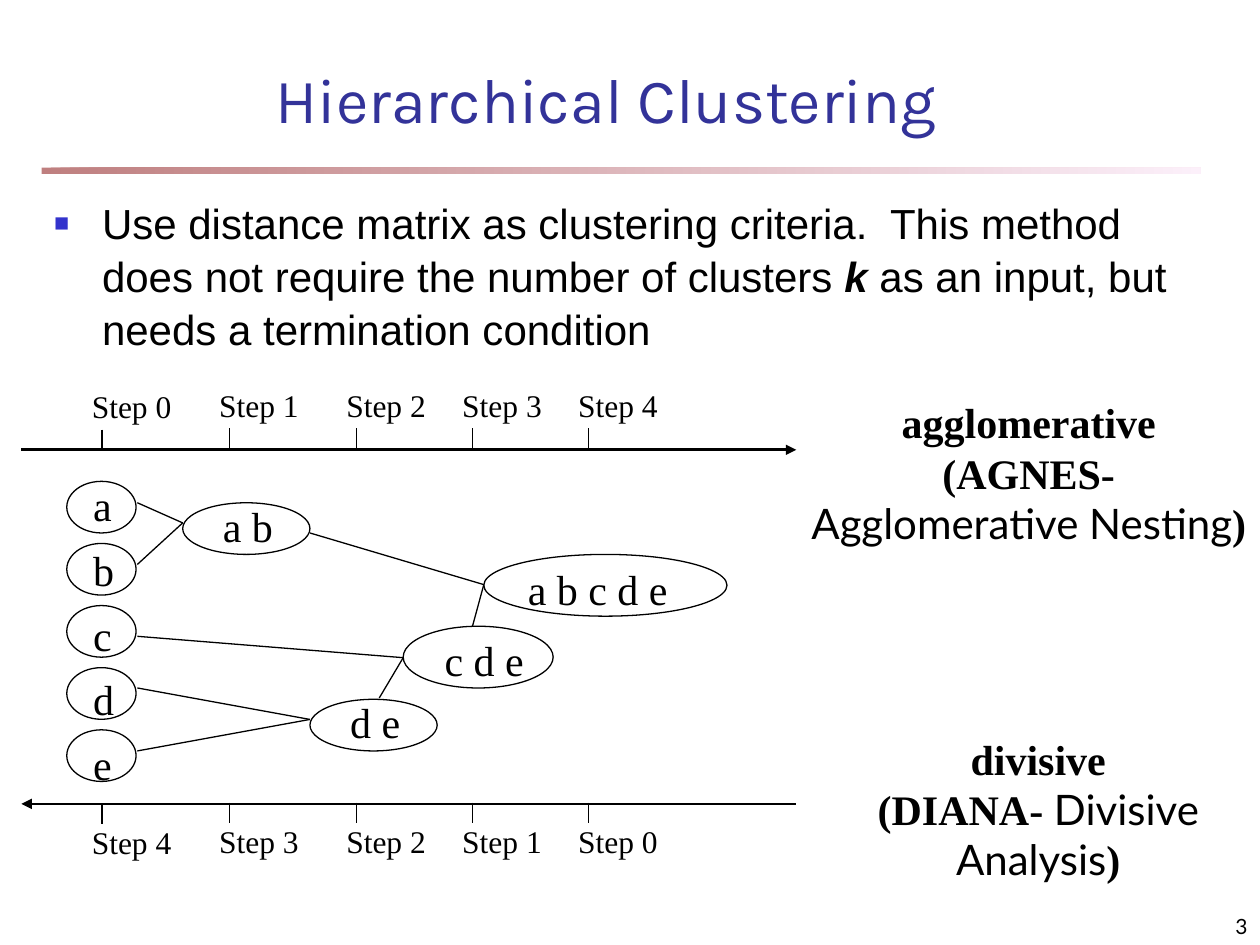
from lxml.etree import SubElement
from pptx import Presentation
from pptx.dml.color import RGBColor
from pptx.enum.shapes import MSO_CONNECTOR as Conn, MSO_SHAPE as Shape
from pptx.enum.text import MSO_ANCHOR as Anchor, MSO_AUTO_SIZE as Auto, PP_ALIGN as Align
from pptx.oxml.ns import qn
from pptx.util import Inches, Pt

# Content
TITLE = "Hierarchical Clustering"
BODY = [
    ("Use distance matrix as clustering criteria.  This method does not require "
     "the number of clusters ", {}),
    ("k", {"bold": True, "italic": True}),
    (" as an input, but needs a termination condition", {}),
]
TIMES, LATO = "Times New Roman", "Lato"
LIGHT = {"font": LATO, "bold": False}
METHODS = [  # box, name, short name, long name
    ((6.33, 3.08, 3.67, 1.7), "agglomerative", "(AGNES-", " Agglomerative Nesting"),
    ((6.48, 5.75, 3.52, 1.3), "divisive", "(DIANA-", " Divisive Analysis"),
]
TICKS = [0.81, 1.82, 2.83, 3.75, 4.67]
STEPS = [f"Step {n}" for n in range(len(TICKS))]
AXES = [  # axis y, tick top, label top, labels, arrowhead end
    (3.57, 3.4, 3.0, STEPS, "tailEnd"),
    (6.38, 6.37, 6.46, STEPS[::-1], "headEnd"),
]
LEAVES = "abcde"
NODES = [  # text, ellipse, text box
    ("a b", (1.45, 3.99, 1.01, 0.41), (1.67, 3.9, 0.6, 0.5)),
    ("d e", (2.46, 5.55, 1.01, 0.41), (2.68, 5.46, 0.6, 0.5)),
    ("c d e", (3.2, 4.97, 1.19, 0.49), (3.43, 4.97, 0.83, 0.5)),
    ("a b c d e", (3.84, 4.4, 1.93, 0.49), (4.09, 4.4, 1.31, 0.5)),
]
LINKS = [  # merged node's left tip, starts of the lines that join it
    ((1.45, 4.15), [(1.09, 3.99), (1.09, 4.48)]),
    ((2.46, 5.71), [(1.09, 5.46), (1.09, 5.96)]),
    ((3.2, 5.22), [(1.09, 5.05), (3.01, 5.54)]),
    ((3.84, 4.64), [(2.46, 4.23), (3.75, 4.97)]),
]

deck = Presentation()
deck.slide_width, deck.slide_height = Inches(10), Inches(7.5)
slide = deck.slides.add_slide(deck.slide_layouts[1])
shapes = slide.shapes


def color(code):
    return RGBColor.from_string(code)


def place(shape, box):
    shape.left, shape.top, shape.width, shape.height = map(Inches, box)


def write(para, text, size=24, font=TIMES, code="000000", bold=False, italic=False,
          align=Align.LEFT, line=1.05):
    """Add one run to a paragraph and format both."""
    para.alignment, para.line_spacing, para.space_before = align, line, Pt(0)
    run = para.add_run()
    run.text = text
    face = run.font
    face.size, face.name, face.bold, face.italic = Pt(size), font, bold, italic
    face.color.rgb = color(code)


def frame(box, wrap=True, anchor=Anchor.TOP):
    text = shapes.add_textbox(*map(Inches, box)).text_frame
    text.word_wrap, text.vertical_anchor = wrap, anchor
    return text


def label(box, text, wrap=True, anchor=Anchor.TOP, **style):
    write(frame(box, wrap, anchor).paragraphs[0], text, **style)


def link(start, end, width=0.75, head=None):
    line = shapes.add_connector(Conn.STRAIGHT, *map(Inches, (*start, *end)))
    line.line.color.rgb, line.line.width = color("000000"), Pt(width)
    if head:
        SubElement(line.line._get_or_add_ln(), qn(f"a:{head}"), type="triangle")
    SubElement(line._element.spPr, qn("a:effectLst"))


def oval(box):
    shape = shapes.add_shape(Shape.OVAL, *map(Inches, box))
    shape.shadow.inherit = False
    shape.fill.background()
    shape.line.color.rgb, shape.line.width = color("000000"), Pt(0.75)


# Rule under the title
rule = shapes.add_shape(Shape.RECTANGLE, *map(Inches, (0.33, 1.33, 9.2, 0.05)))
rule.shadow.inherit = False
rule.line.fill.background()
rule.fill.gradient()
rule.fill.gradient_angle = 0
for stop, code, spot in zip(rule.fill.gradient_stops, ("800000", "FAE2F6"), (0, 1)):
    stop.color.rgb, stop.position = color(code), spot
for tint in rule._element.spPr.iter(qn("a:srgbClr")):
    SubElement(tint, qn("a:alpha"), val="50000")

# Title and body
title, body = slide.placeholders
for holder, box, anchor in ((title, (0.82, 0.54, 7.98, 0.48), Anchor.MIDDLE),
                            (body, (0.33, 1.5, 9.08, 1.33), Anchor.TOP)):
    place(holder, box)
    text = holder.text_frame
    text.word_wrap, text.auto_size, text.vertical_anchor = True, Auto.NONE, anchor
write(title.text_frame.paragraphs[0], TITLE, size=36, font="Karla", code="333399",
      align=Align.CENTER, line=1)

item = body.text_frame.paragraphs[0]
props = item._p.get_or_add_pPr()
props.set("marL", str(Inches(0.38)))
props.set("indent", str(-Inches(0.38)))
SubElement(SubElement(props, qn("a:buClr")), qn("a:srgbClr"), val="3333CC")
SubElement(props, qn("a:buSzPct"), val="60000")
SubElement(props, qn("a:buFont"), typeface="Arial")
SubElement(props, qn("a:buChar"), char="■")
for text, style in BODY:
    write(item, text, font="Arial", **style)

# Step axes
for y, top, high, names, head in AXES:
    link((0.17, y), (6.32, y), 1.5, head)
    for n, (x, name) in enumerate(zip(TICKS, names)):
        drop = 0.01 if n == 0 else 0
        link((x, top + drop), (x, top + drop + 0.16))
        label((x - 0.18, high + drop, 0.92, 0.4), name, size=18)

# Cluster tree
for n, leaf in enumerate(LEAVES):
    label((0.64, 3.74 + 0.513 * n, 0.35, 0.5), leaf, wrap=False)
    oval((0.53, 3.82 + 0.493 * n, 0.55, 0.41))
for text, ring, box in NODES:
    label(box, text, wrap=False)
    oval(ring)
for tip, starts in LINKS:
    for start in starts:
        link(start, tip)

# Method names
for box, name, short, full in METHODS:
    text = frame(box)
    write(text.paragraphs[0], name, bold=True, align=Align.CENTER)
    para = text.add_paragraph()
    for part, style in ((short, {"bold": True}), (full, LIGHT), (")", {"bold": True})):
        write(para, part, align=Align.CENTER, line=1, **style)

# Page number
label((7.92, 7.08, 2.08, 0.42), "3", anchor=Anchor.BOTTOM, size=12, font=LATO,
      align=Align.RIGHT, line=1)

deck.save("out.pptx")
